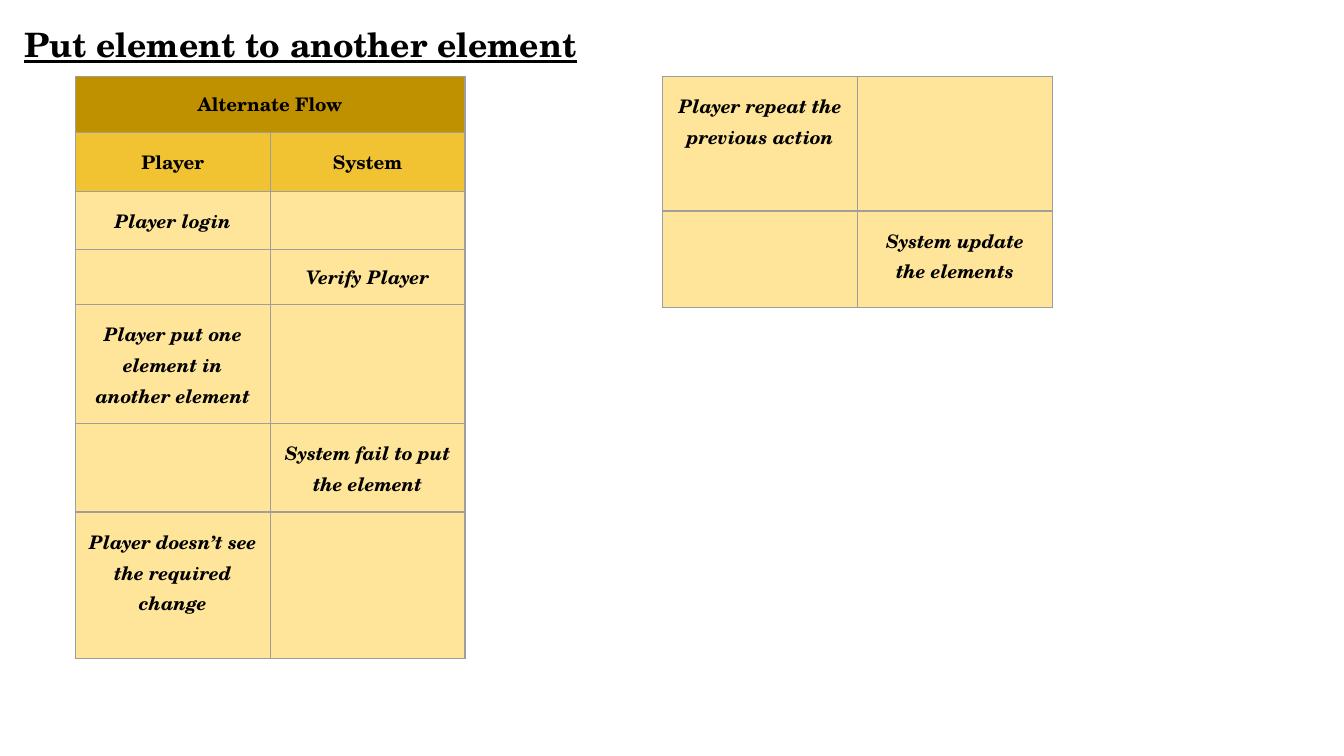
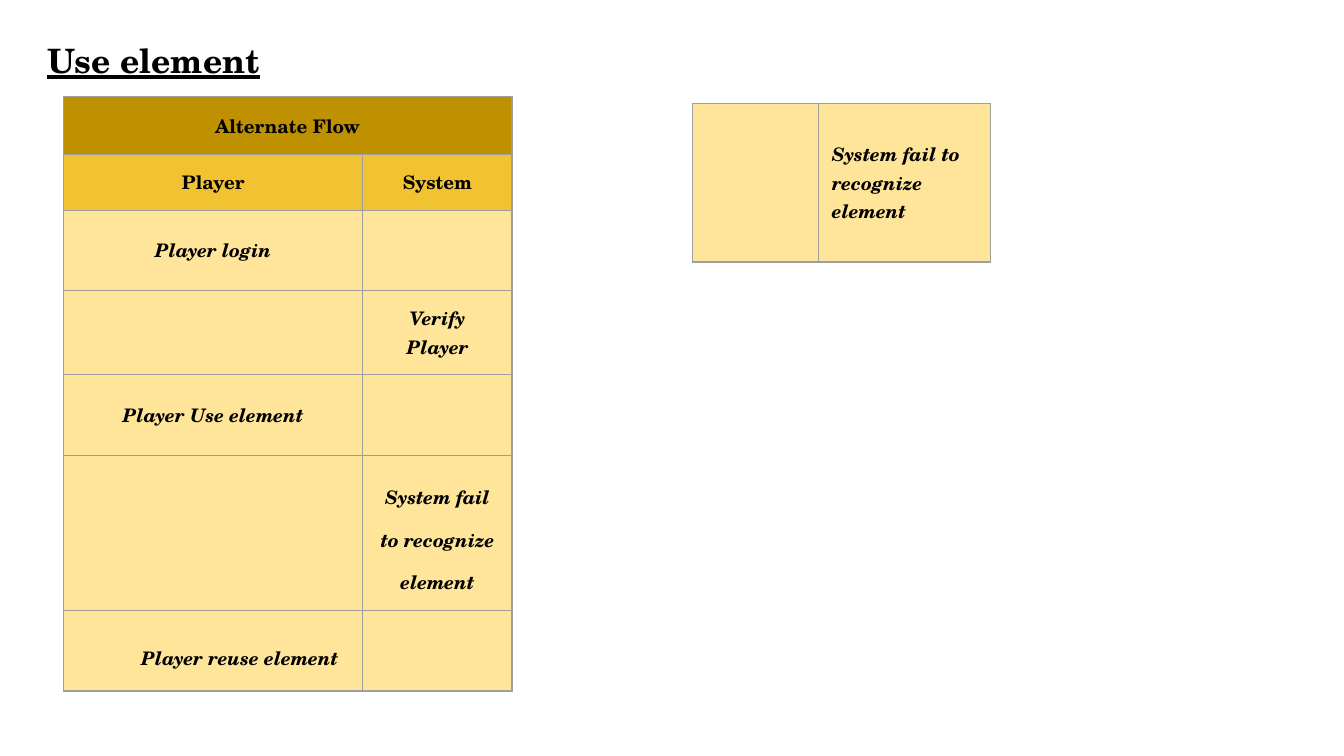
"""Builds two slides of alternate flow tables for a game's use cases."""
from lxml import etree
from pptx import Presentation
from pptx.dml.color import RGBColor
from pptx.enum.text import MSO_ANCHOR, MSO_AUTO_SIZE, PP_ALIGN
from pptx.oxml.ns import qn
from pptx.util import Inches, Pt

LEFT, CENTER = PP_ALIGN.LEFT, PP_ALIGN.CENTER
TOP, MIDDLE = MSO_ANCHOR.TOP, MSO_ANCHOR.MIDDLE
NO_FIT = MSO_AUTO_SIZE.NONE
TITLE_ONLY = 5
GRID_COLUMNS = 100
FONT = "TeX Gyre Schola"
COLORS = {"ink": "000000", "edge": "9E9E9E", "bronze": "BF9000",
          "amber": "F1C232", "cream": "FFE599"}
MARGINS = dict.fromkeys(
    ("margin_left", "margin_top", "margin_right", "margin_bottom"), Inches(0.1))
STEP = {"fill": "cream", "italic": True, "anchor": MIDDLE, "align": CENTER,
        "spacing": 1.0, "indent": 0}
STYLES = {
    "head": {**STEP, "fill": "bronze", "italic": False},
    "lane": {**STEP, "fill": "amber", "italic": False},
    "step": STEP,
    "loose": {**STEP, "spacing": 1.08},
    "top": {**STEP, "spacing": 1.08, "anchor": TOP},
    "wide": {**STEP, "spacing": 1.5},
    "left": {**STEP, "align": LEFT},
    "indented": {**STEP, "align": LEFT, "spacing": 1.5, "indent": 4.8},
}


def assign(target, values):
    """Set each named attribute of the target."""
    for name, value in values.items():
        setattr(target, name, value)


class FlowDeck:
    """Holds the deck, its grid and the current page."""

    def __init__(self):
        """Open a widescreen deck."""
        self.deck = Presentation()
        self.deck.slide_width = Inches(10)
        self.deck.slide_height = Inches(5.625)
        self.page = None

    def grid(self, units):
        """Turn grid units into a length."""
        return round(self.deck.slide_width * units / GRID_COLUMNS)

    def add_page(self):
        """Start a new page."""
        layout = self.deck.slide_layouts[TITLE_ONLY]
        self.page = self.deck.slides.add_slide(layout)

    def add_span(self, para, text, size, **flags):
        """Add a bold span of text to a paragraph."""
        span = para.add_run()
        span.text = text
        assign(span.font, {"name": FONT, "size": Pt(size), "bold": True, **flags})
        span.font.color.rgb = RGBColor.from_string(COLORS["ink"])

    def title(self, text, left, top, width, height, indent=0):
        """Place and fill the title placeholder."""
        box = self.page.shapes.title
        places = zip(("left", "top", "width", "height"), (left, top, width, height))
        assign(box, {name: self.grid(units) for name, units in places})
        assign(box.text_frame, {"word_wrap": True, "auto_size": NO_FIT,
                                "vertical_anchor": MIDDLE, **MARGINS})
        para = box.text_frame.paragraphs[0]
        assign(para, {"alignment": LEFT, "line_spacing": 1.08, "space_after": Pt(8)})
        settings = para._p.get_or_add_pPr()
        settings.set("marL", "0")
        settings.set("indent", str(self.grid(indent)))
        self.add_span(para, text, 18, underline=True)

    def borders(self, cell):
        """Draw a thin line on each side of a cell."""
        for side in ("lnL", "lnR", "lnT", "lnB"):
            line = etree.SubElement(cell._tc.get_or_add_tcPr(), qn(f"a:{side}"),
                                    w=str(Pt(0.75)))
            fill = etree.SubElement(line, qn("a:solidFill"))
            etree.SubElement(fill, qn("a:srgbClr"), val=COLORS["edge"])

    def cell(self, cell, text, style):
        """Format a cell and fill in its text."""
        assign(cell, {"vertical_anchor": style["anchor"], **MARGINS})
        self.borders(cell)
        cell.fill.solid()
        cell.fill.fore_color.rgb = RGBColor.from_string(COLORS[style["fill"]])
        para = cell.text_frame.paragraphs[0]
        assign(para, {"alignment": style["align"], "line_spacing": style["spacing"]})
        if text:
            para._p.get_or_add_pPr().set("marL", str(self.grid(style["indent"])))
            self.add_span(para, text, 10, italic=style["italic"])
        else:
            etree.SubElement(para._p, qn("a:endParaRPr"), sz=str(10 * 100))

    def flow(self, left, top, widths, rows):
        """Add a flow table whose last column is the system lane."""
        heights = [row[0] for row in rows]
        sizes = (left, top, sum(widths), sum(heights))
        table = self.page.shapes.add_table(
            len(rows), len(widths), *map(self.grid, sizes)).table
        assign(table, {"first_row": False, "horz_banding": False})
        for column, width in zip(table.columns, widths):
            column.width = self.grid(width)
        last = len(widths) - 1
        for index, (height, style, *texts) in enumerate(rows):
            table.rows[index].height = self.grid(height)
            lanes = dict(zip((0, last), texts))
            for place in range(len(widths)):
                self.cell(table.cell(index, place), lanes.get(place, ""), STYLES[style])
            end = last if len(texts) == 1 else last - 1
            if end > 0:
                table.cell(index, 0).merge(table.cell(index, end))


def main():
    """Build and save the deck."""
    deck = FlowDeck()
    lanes = ("Player", "System")

    deck.add_page()
    deck.title("Put element to another element", 0.8, 0.8, 89.8, 4.8)
    deck.flow(5.6, 5.7, (14.5, 14.5), [
        (3.2, "head", "Alternate Flow"),
        (4.4, "lane", *lanes),
        (4.3, "loose", "Player login", ""),
        (3.2, "step", "", "Verify Player"),
        (4.3, "top", "Player put one element in another element", ""),
        (5.9, "top", "", "System fail to put the element"),
        (10.9, "top", "Player doesn’t see the required change", ""),
    ])
    deck.flow(49.3, 5.7, (14.5, 14.5), [
        (10, "top", "Player repeat the previous action", ""),
        (7.2, "top", "", "System update the elements"),
    ])

    deck.add_page()
    deck.title("Use element", -2.5, 2.5, 32.8, 3.7, indent=5)
    deck.flow(4.7, 7.2, (8.1, 14.2, 11.1), [
        (4.3, "head", "Alternate Flow"),
        (4, "lane", *lanes),
        (6, "step", "Player login", ""),
        (6, "step", "", "Verify Player"),
        (6, "step", "Player Use element", ""),
        (7.6, "wide", "", "System fail to recognize element"),
        (6, "indented", "Player reuse element", ""),
    ])
    deck.flow(51.5, 7.7, (9.4, 12.8), [
        (11.8, "left", "", "System fail to recognize element"),
    ])

    deck.deck.save("out.pptx")


if __name__ == "__main__":
    main()
